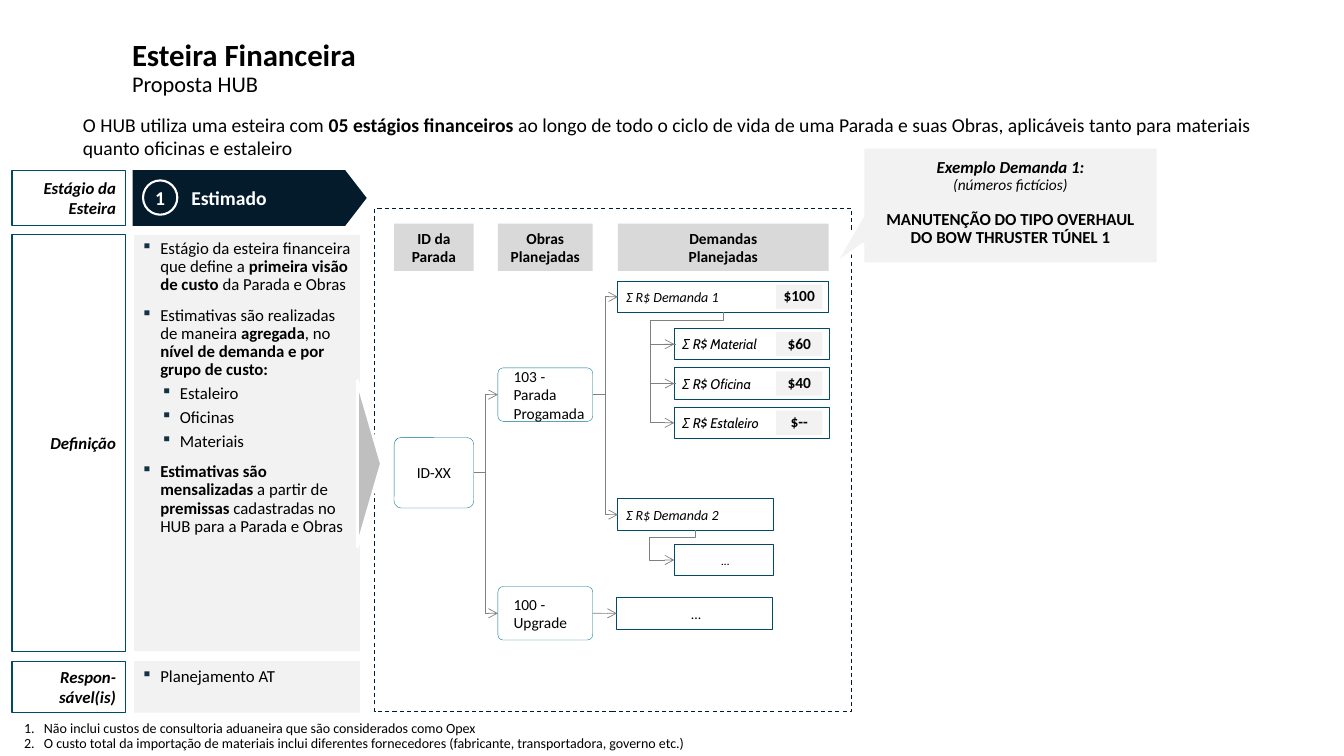
from copy import deepcopy

from lxml import etree
from pptx import Presentation
from pptx.dml.color import RGBColor
from pptx.enum.dml import MSO_LINE
from pptx.enum.shapes import MSO_CONNECTOR, MSO_SHAPE
from pptx.enum.text import MSO_ANCHOR, MSO_AUTO_SIZE, PP_ALIGN
from pptx.oxml.ns import qn
from pptx.util import Pt

RECT, ROUND = MSO_SHAPE.RECTANGLE, MSO_SHAPE.ROUNDED_RECTANGLE
PENTAGON, OVAL = MSO_SHAPE.PENTAGON, MSO_SHAPE.OVAL
TRIANGLE, CALLOUT = MSO_SHAPE.ISOSCELES_TRIANGLE, MSO_SHAPE.RECTANGULAR_CALLOUT
ELBOW, STRAIGHT = MSO_CONNECTOR.ELBOW, MSO_CONNECTOR.STRAIGHT
LEFT, CENTER, RIGHT = PP_ALIGN.LEFT, PP_ALIGN.CENTER, PP_ALIGN.RIGHT
TOP, MIDDLE = MSO_ANCHOR.TOP, MSO_ANCHOR.MIDDLE

COLORS = {
    "black": "000000", "white": "FFFFFF", "navy": "031B2B", "border": "014A65",
    "teal": "03738E", "panel": "F2F2F2", "header": "D9D9D9", "arrow": "BFBFBF",
    "connector": "808080", "bullet": "143244",
}
BOLD = {"bold": True}
BOLD_ITALIC = {"bold": True, "italic": True}
SQUARE = ("buChar", {"char": "▪"})
NUMBER = ("buAutoNum", {"type": "arabicPeriod"})
PANEL_INSETS = (4.5, 3.6, 4.5, 3.6)
NO_INDENT = (0, 0)

# Columns and rows, in points
LABEL_X, LABEL_WIDTH = 8.6, 81.4
PANEL_X, PANEL_WIDTH = 95.8, 161.3
STAGE_ROW, DEFINITION_ROW, OWNER_ROW = (121.7, 39.6), (167.8, 297.4), (472.3, 36.7)
ID_X, ID_WIDTH = 281.5, 56.9
WORK_X, WORK_WIDTH, WORK_HEIGHT = 355.7, 67.7, 38.2
DEMAND_X, DEMAND_WIDTH = 441.4, 150.5
ITEM_X, ITEM_WIDTH, ITEM_Y, ITEM_STEP = 481.7, 110.9, 234.7, 28.1
ROW_HEIGHT = 22.3


def color(name):
    return RGBColor.from_string(COLORS[name])


def add_run(paragraph, text, style, ink, font_name):
    """Write text, turning each newline into a line break of the same format."""
    for index, line in enumerate(text.split("\n")):
        if index:
            paragraph.add_line_break()
            paragraph._p[-1].append(deepcopy(run._r.rPr))
        run = paragraph.add_run()
        run.text = line
        run.font.name = font_name
        run.font.color.rgb = color(ink)
        for name, value in style.items():
            setattr(run.font, name, value)


def set_indent(paragraph, indent, bullet):
    properties = paragraph._p.get_or_add_pPr()
    properties.set("marL", str(Pt(indent[0])))
    properties.set("indent", str(Pt(indent[1])))
    if bullet == SQUARE:
        tint = etree.SubElement(properties, qn("a:buClr"))
        etree.SubElement(tint, qn("a:srgbClr"), val=COLORS["bullet"])
        etree.SubElement(properties, qn("a:buSzPct"), val="90000")
    if bullet:
        etree.SubElement(properties, qn("a:" + bullet[0]), bullet[1])


def write(shape, paragraphs, size, ink="black", font_name="Calibri", style=None,
          align=LEFT, anchor=MIDDLE, insets=(7.2, 3.6, 7.2, 3.6),
          indent=NO_INDENT, bullet=None, spacing=1.0):
    """Each paragraph is (runs, format); runs are (text, style) pairs."""
    frame = shape.text_frame
    sides = ("margin_left", "margin_top", "margin_right", "margin_bottom")
    settings = {"word_wrap": True, "vertical_anchor": anchor, "auto_size": MSO_AUTO_SIZE.NONE}
    settings.update(zip(sides, map(Pt, insets)))
    for name, value in settings.items():
        setattr(frame, name, value)
    if isinstance(paragraphs, str):
        paragraphs = [([(paragraphs, {})], {})]
    for index, (runs, layout) in enumerate(paragraphs):
        paragraph = frame.add_paragraph() if index else frame.paragraphs[0]
        set_indent(paragraph, layout.get("indent", indent), bullet)
        settings = {"alignment": align, "line_spacing": spacing,
                    "level": layout.get("level", 0),
                    "space_before": Pt(layout.get("before", 0))}
        for name, value in settings.items():
            setattr(paragraph, name, value)
        for text, extra in runs:
            add_run(paragraph, text, {"size": Pt(size), **(style or {}), **extra}, ink, font_name)


def add_box(slide, kind, left, top, width, height, fill=None, line=None, weight=0.75,
            adjustments=()):
    shape = slide.shapes.add_shape(kind, Pt(left), Pt(top), Pt(width), Pt(height))
    shape.shadow.inherit = False
    for index, value in enumerate(adjustments):
        shape.adjustments[index] = value
    for target, name in ((shape.fill, fill), (shape.line.fill, line)):
        if name:
            target.solid()
            target.fore_color.rgb = color(name)
        else:
            target.background()
    if line:
        shape.line.width = Pt(weight)
    return shape


def add_label(slide, text, row):
    box = add_box(slide, RECT, LABEL_X, row[0], LABEL_WIDTH, row[1], line="border")
    write(box, text, 12, style=BOLD_ITALIC, align=RIGHT)


def add_panel(slide, paragraphs, row, spacing):
    box = add_box(slide, RECT, PANEL_X, row[0], PANEL_WIDTH, row[1], "panel")
    write(box, paragraphs, 12, anchor=TOP, insets=PANEL_INSETS, indent=(14.2, -13.5),
          bullet=SQUARE, spacing=spacing)


def add_header(slide, text, left, width):
    box = add_box(slide, RECT, left, 159.8, width, 33.8, "header")
    write(box, text, 11, style=BOLD, align=CENTER, anchor=TOP)


def add_work(slide, text, top):
    box = add_box(slide, ROUND, WORK_X, top, WORK_WIDTH, WORK_HEIGHT, "white", "teal", 0.25, [0.1])
    write(box, text, 11, insets=(2.9,) * 4, indent=(7.2, 0))
    return box


def add_demand(slide, text, left, top, width, amount=None, font_name="Calibri", align=LEFT):
    box = add_box(slide, ROUND, left, top, width, ROW_HEIGHT, line="border", adjustments=[0])
    write(box, text, 10, font_name=font_name, style={"italic": True}, align=align,
          insets=(5.8, 3.6, 2.9, 3.6))
    if amount:
        badge = add_box(slide, RECT, 554.4, top + 2.5, 33.1, 17.3, "panel")
        write(badge, amount, 11, style=BOLD, align=CENTER, insets=PANEL_INSETS, spacing=0.9)
    return box


def add_arrow(slide, kind, start, end, preset=None, guides=()):
    arrow = slide.shapes.add_connector(kind, *map(Pt, (*start, *end)))
    arrow.line.width = Pt(0.5)
    arrow.line.color.rgb = color("connector")
    properties = arrow._element.spPr
    etree.SubElement(properties.find(qn("a:ln")), qn("a:tailEnd"), type="arrow")
    etree.SubElement(properties, qn("a:effectLst"))
    geometry = properties.find(qn("a:prstGeom"))
    if preset:
        geometry.set("prst", preset)
    values = geometry.find(qn("a:avLst"))
    for index, value in enumerate(guides, 1):
        etree.SubElement(values, qn("a:gd"), name=f"adj{index}", fmla=f"val {round(value * 100000)}")
    return arrow


def add_hook(slide, start, end, drop, reach):
    """Leave downwards, turn left past the target and enter it from its left side."""
    across, down = start[0] - end[0], end[1] - start[1]
    middle_x, middle_y = (start[0] + end[0]) / 2, (start[1] + end[1]) / 2
    corner = (middle_x - down / 2, middle_y - across / 2)
    opposite = (middle_x + down / 2, middle_y + across / 2)
    arrow = add_arrow(slide, ELBOW, corner, opposite, "bentConnector4",
                      [drop / down, 1 + reach / across])
    arrow._element.spPr.find(qn("a:xfrm")).set("rot", str(90 * 60000))


def add_heading(slide):
    title = slide.shapes.title
    title.left, title.top, title.width, title.height = map(Pt, (87.1, 23.8, 825.8, 51.1))
    write(title, [([("Esteira Financeira\n", {"size": Pt(22), **BOLD}),
                    ("Proposta HUB", {"bold": False})], {})], 16, spacing=0.9)
    intro = slide.shapes.add_textbox(*map(Pt, (54.7, 77, 850.3, 46.8)))
    write(intro, [([("O HUB utiliza uma esteira com ", {}), ("05 estágios financeiros ", BOLD),
                    ("ao longo de todo o ciclo de vida de uma Parada e suas Obras, aplicáveis "
                     "tanto para materiais quanto oficinas e estaleiro", {})], {})],
          14, anchor=TOP, insets=PANEL_INSETS)


def add_stage(slide):
    definition = [
        ([("Estágio da esteira financeira que define a ", {}), ("primeira visão de custo", BOLD),
          (" da Parada e Obras", {})], {}),
        ([("Estimativas são realizadas de maneira ", {}), ("agregada", BOLD), (", no ", {}),
          ("nível de demanda e por grupo de custo:", BOLD)], {"before": 9}),
        *[([(group, {})], {"before": 4, "level": 1, "indent": (28.2, -13.5)})
          for group in ("Estaleiro", "Oficinas", "Materiais")],
        ([("Estimativas são mensalizadas ", BOLD), ("a partir de ", {}), ("premissas", BOLD),
          (" cadastradas no HUB para a Parada e Obras", {})], {"before": 9}),
    ]
    add_panel(slide, definition, DEFINITION_ROW, 0.9)
    add_panel(slide, "Planejamento AT", OWNER_ROW, 1.0)
    for text, row in (("Estágio da Esteira", STAGE_ROW), ("Definição", DEFINITION_ROW),
                      ("Respon-sável(is)", OWNER_ROW)):
        add_label(slide, text, row)
    banner = add_box(slide, PENTAGON, 93.6, 120.2, 169.9, 42.5, "navy", "white", 2.25, [0.386])
    write(banner, "Estimado", 14, "white", style=BOLD, indent=(36, 0))
    number = add_box(slide, OVAL, 102.2, 128.9, 24.5, 24.5, "navy", "white", 1.5)
    write(number, "1", 14, "white", style=BOLD, align=CENTER, insets=(0,) * 4)


def add_tree(slide):
    frame = add_box(slide, RECT, 267.8, 149, 340.6, 359.3, line="navy")
    frame.line.dash_style = MSO_LINE.DASH
    pointer = add_box(slide, TRIANGLE, 204.5, 322.6, 118.8, 17.3, "arrow", "white", 2.25)
    pointer.rotation = 90
    for text, left, width in (("ID da Parada", ID_X, ID_WIDTH),
                              ("Obras\nPlanejadas", WORK_X, WORK_WIDTH),
                              ("Demandas\nPlanejadas", DEMAND_X, DEMAND_WIDTH)):
        add_header(slide, text, left, width)

    # Boxes
    stop = add_box(slide, ROUND, ID_X, 312.5, ID_WIDTH, 50.4, "white", "teal", 0.25, [0.1])
    write(stop, "ID-XX", 11, align=CENTER)
    add_work(slide, "103 - Parada Progamada", 262.8)
    upgrade = add_work(slide, "100 - Upgrade", 419)
    add_demand(slide, "Σ R$ Demanda 1", DEMAND_X, 200.9, DEMAND_WIDTH, "$100")
    items = (("Material", "$60"), ("Oficina", "$40"), ("Estaleiro", "$--"))
    for index, (name, amount) in enumerate(items):
        add_demand(slide, f"Σ R$ {name}", ITEM_X, ITEM_Y + index * ITEM_STEP, ITEM_WIDTH,
                   amount, "Cabin")
    add_demand(slide, "Σ R$ Demanda 2", DEMAND_X, 356.4, ITEM_WIDTH)
    add_demand(slide, "...", ITEM_X, 388.8, 70.6, font_name="Cabin", align=CENTER)
    other = add_demand(slide, "...", 440.6, 427, ITEM_WIDTH, align=CENTER)

    # Connectors
    for y in (281.9, 438.1):
        add_arrow(slide, ELBOW, (ID_X + ID_WIDTH, 337.7), (WORK_X, y))
    for y in (212.1, 367.6):
        add_arrow(slide, ELBOW, (WORK_X + WORK_WIDTH, 281.9), (DEMAND_X, y))
    link = add_arrow(slide, STRAIGHT, (WORK_X + WORK_WIDTH, 438.1), (440.6, 438.1))
    link.begin_connect(upgrade, 3)
    link.end_connect(other, 1)
    item_middle = ITEM_Y + ROW_HEIGHT / 2
    add_hook(slide, (516.7, 223.2), (ITEM_X, item_middle), 5.5, 17)
    add_hook(slide, (496.8, 378.7), (ITEM_X, 400), 4.8, 17.8)
    for index in range(2):
        y = item_middle + index * ITEM_STEP
        add_arrow(slide, ELBOW, (ITEM_X + 1, y), (ITEM_X, y + ITEM_STEP), guides=[18])


def add_notes(slide):
    example = add_box(slide, CALLOUT, 616.3, 105.1, 211, 83.5, "panel", "white", 2.25,
                      [-0.596, 0.505])
    write(example, [([("Exemplo Demanda 1:", BOLD_ITALIC)], {}),
                    ([("(números fictícios)", {"size": Pt(11), "italic": True})], {}),
                    ([("MANUTENÇÃO DO TIPO OVERHAUL\nDO BOW THRUSTER TÚNEL 1", BOLD)],
                     {"before": 12})],
          12, align=CENTER, anchor=TOP, insets=(5.8, 8.6, 5.8, 3.6), spacing=0.9)
    footnotes = slide.shapes.add_textbox(*map(Pt, (10.1, 511.9, 711.4, 28.8)))
    notes = ("Não inclui custos de consultoria aduaneira que são considerados como Opex",
             "O custo total da importação de materiais inclui diferentes fornecedores "
             "(fabricante, transportadora, governo etc.)")
    write(footnotes, [([(note, {})], {}) for note in notes], 10, anchor=TOP,
          indent=(14.2, -14.2), bullet=NUMBER, spacing=0.9)


def main():
    presentation = Presentation()
    presentation.slide_width, presentation.slide_height = Pt(960), Pt(540)
    slide = presentation.slides.add_slide(presentation.slide_layouts[5])
    add_heading(slide)
    add_stage(slide)
    add_tree(slide)
    add_notes(slide)
    presentation.save("out.pptx")


if __name__ == "__main__":
    main()
